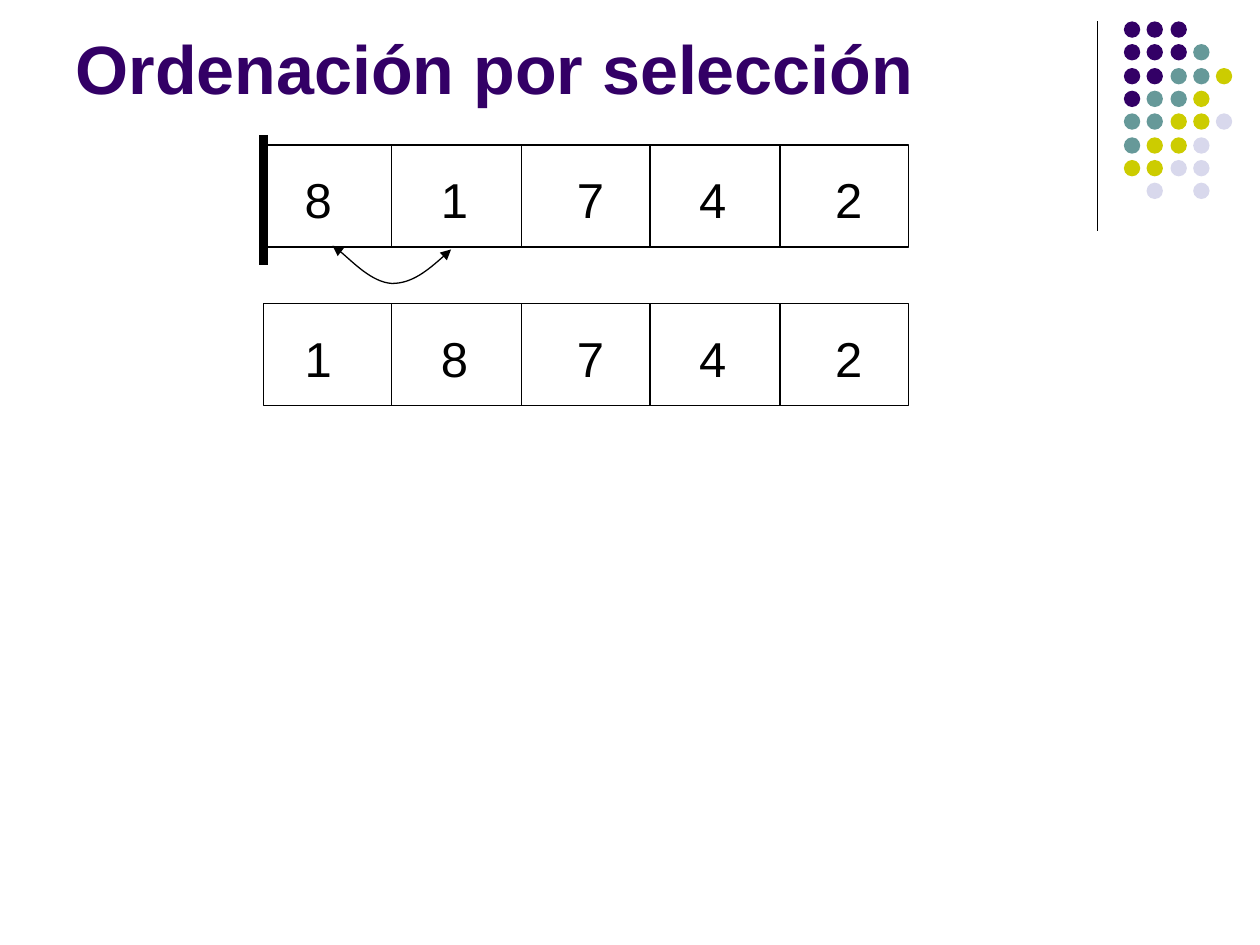
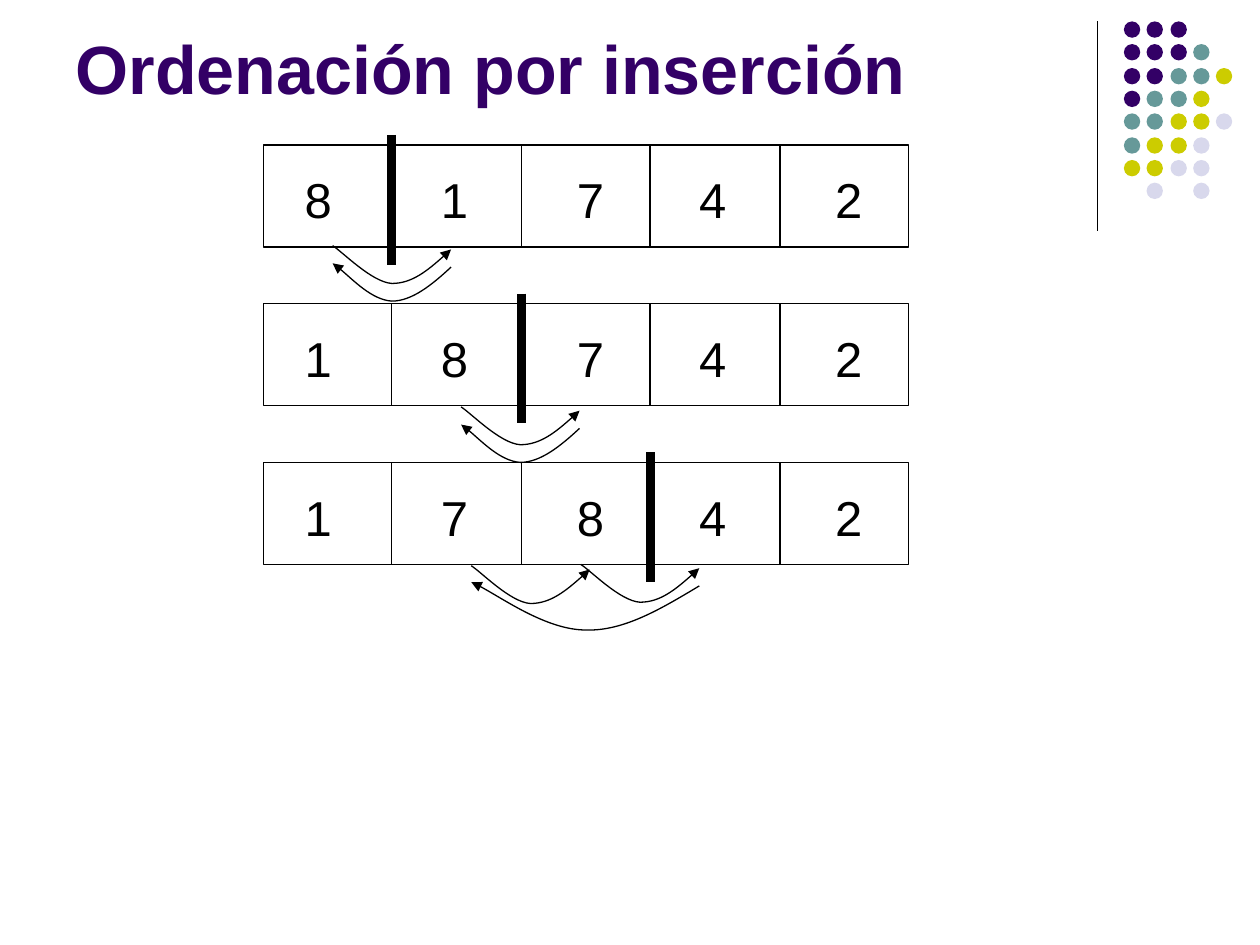
"""Two slides that show selection sort and insertion sort step by step."""
from lxml import etree
from pptx import Presentation, util as u
from pptx.dml.color import RGBColor
from pptx.enum import shapes, text
from pptx.oxml.ns import qn

SCALE = 9144
FONT = "Arial"
BLACK = "000000"
PURPLE = "330066"
DOT_COLOURS = {"P": PURPLE, "T": "669999", "Y": "CCCC00", "L": "D8D8EC"}
DOT_ROWS = ["PPP", "PPPT", "PPTTY", "PTTY", "TTYYL", "TYYL", "YYLL", " L L"]
DOT_STEP = 18.3
ROW_LEFT, ROW_TOP, ROW_WIDTH, ROW_HEIGHT, ROW_STEP = 209, 115, 512, 81, 126
CELLS = 5
DIGIT_TABS = [108, 216, 313, 421]
SHORT_ARC = [(94, 3), (79, 17), (63, 30), (47, 30), (31, 29), (8, 5), (0, 0)]
LONG_ARC = [(181, 3), (151, 21), (121, 39), (91, 38), (60, 38), (15, 6), (0, 0)]


def px(length):
    return u.Emu(round(length * SCALE))


def colour(code):
    return RGBColor.from_string(code)


class Deck:
    """Holds the shared style and the slide being drawn."""

    def __init__(self):
        self.prs = Presentation()
        self.prs.slide_width, self.prs.slide_height = px(1000), px(750)
        self.layout = self.prs.slide_layouts[5]
        self.slide = None

    def new_slide(self, heading):
        self.slide = self.prs.slides.add_slide(self.layout)
        if len(self.prs.slides) == 1:
            self.ornament()
        title = self.slide.shapes.title
        title.left, title.top, title.width, title.height = map(px, (50, 13, 825, 78))
        frame = title.text_frame
        frame.auto_size = text.MSO_AUTO_SIZE.NONE
        frame.vertical_anchor = text.MSO_ANCHOR.BOTTOM
        frame.paragraphs[0].alignment = text.PP_ALIGN.LEFT
        self.run(frame.paragraphs[0], heading, 39, PURPLE, True)

    def run(self, paragraph, words, size, code, bold=False):
        run = paragraph.add_run()
        run.text = words
        run.font.name, run.font.size, run.font.bold = FONT, u.Pt(size), bold
        run.font.color.rgb = colour(code)

    def stroke(self, shape, width=0.75):
        shape.line.color.rgb = colour(BLACK)
        shape.line.width = u.Pt(width)

    def shape(self, kind, left, top, width, height, fill=None):
        shape = self.slide.shapes.add_shape(kind, *map(px, (left, top, width, height)))
        shape.shadow.inherit = False
        if fill:
            shape.fill.solid()
            shape.fill.fore_color.rgb = colour(fill)
            shape.line.fill.background()
        else:
            shape.fill.background()
            self.stroke(shape)
        return shape

    def upright(self, x, top, bottom, width=0.75):
        line = self.slide.shapes.add_connector(
            shapes.MSO_CONNECTOR.STRAIGHT, *map(px, (x, top, x, bottom)))
        self.stroke(line, width)
        etree.SubElement(line.element.spPr, qn("a:effectLst"))
        return line

    def ornament(self):
        parts = [self.upright(871, 17, 183)]
        for row, letters in enumerate(DOT_ROWS):
            for column, letter in enumerate(letters):
                if letter in DOT_COLOURS:
                    parts.append(self.shape(
                        shapes.MSO_SHAPE.OVAL, 892 + round(column * DOT_STEP),
                        17 + round(row * DOT_STEP), 13, 13, DOT_COLOURS[letter]))
        for part in parts:
            self.layout.shapes.element.append(part.element)

    def cell_edge(self, index):
        return ROW_LEFT + round(index * ROW_WIDTH / CELLS)

    def array(self, step, digits, sorted_count=None):
        top = ROW_TOP + step * ROW_STEP
        self.shape(shapes.MSO_SHAPE.RECTANGLE, ROW_LEFT, top, ROW_WIDTH, ROW_HEIGHT)
        for index in range(1, CELLS):
            self.upright(self.cell_edge(index), top, top + ROW_HEIGHT)
        box = self.slide.shapes.add_textbox(*map(px, (232, top + 15, 472, 57)))
        box.text_frame.word_wrap = True
        paragraph = box.text_frame.paragraphs[0]
        stops = etree.SubElement(
            paragraph._p.get_or_add_pPr(), qn("a:tabLst"))
        for position in DIGIT_TABS:
            etree.SubElement(stops, qn("a:tab"), pos=str(px(position)), algn="l")
        self.run(paragraph, "\t".join(digits), 28, BLACK)
        if sorted_count is not None:
            self.upright(self.cell_edge(sorted_count), top - 8, top + 95, 5)

    def arc(self, left, top, ends, points=SHORT_ARC):
        spots = [(left + x, top + y) for x, y in points]
        builder = self.slide.shapes.build_freeform(*spots[0], scale=SCALE)
        builder.add_line_segments(spots[1:], close=False)
        curve = builder.convert_to_shape()
        curve.shadow.inherit = False
        curve.fill.background()
        self.stroke(curve)
        outline = curve.element.find(".//" + qn("a:path"))
        segments = outline.findall(qn("a:lnTo"))
        for start in range(0, len(segments), 3):
            bezier = etree.SubElement(outline, qn("a:cubicBezTo"))
            for segment in segments[start:start + 3]:
                bezier.append(segment[0])
                outline.remove(segment)
        for end in ends:
            etree.SubElement(curve.element.find(".//" + qn("a:ln")), qn("a:" + end),
                             type="triangle", w="med", len="med")


def main():
    deck = Deck()
    to_right, to_left = ["headEnd"], ["tailEnd"]

    deck.new_slide("Ordenación por selección")
    deck.array(0, "81742", 0)
    deck.arc(264, 195, to_right + to_left)
    deck.array(1, "18742")

    deck.new_slide("Ordenación por inserción")
    for step, digits in enumerate(["81742", "18742", "17842"]):
        deck.array(step, digits, step + 1)
    for left, top in [(264, 195), (366, 323)]:
        deck.arc(left, top, to_right)
        deck.arc(left, top + 14, to_left)
    deck.arc(461, 448, to_right)
    deck.arc(374, 449, to_right)
    deck.arc(374, 462, to_left, LONG_ARC)

    deck.prs.save("out.pptx")


if __name__ == "__main__":
    main()
